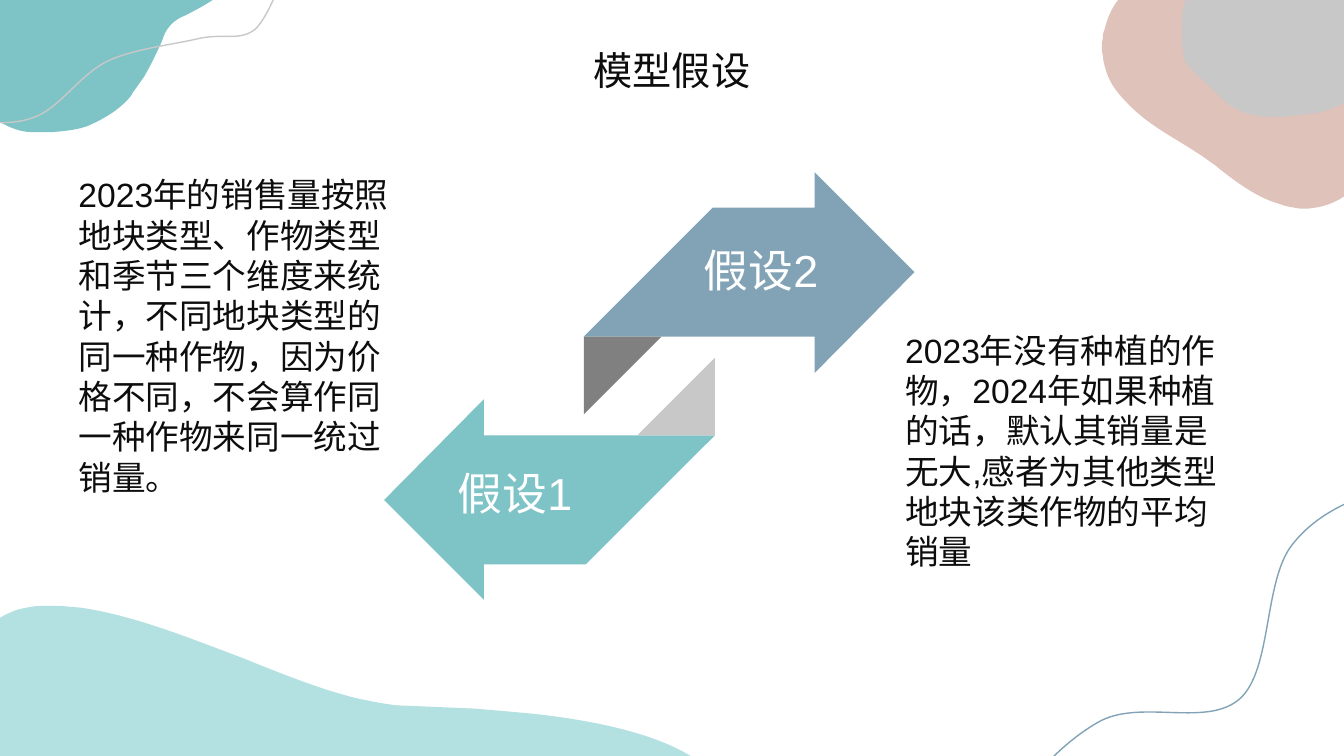
from dataclasses import dataclass

from pptx import Presentation
from pptx import util as u
from pptx.dml.color import RGBColor
from pptx.enum import shapes, text
from pptx.oxml import ns


@dataclass(frozen=True)
class Theme:
    teal: str = "7EC3C6"
    mint: str = "B3E0E1"
    blue: str = "82A3B6"
    pink: str = "DFC3BA"
    light_gray: str = "C8C8C8"
    dark_gray: str = "808080"
    ink: str = "0D0D0D"
    white: str = "FFFFFF"
    latin: str = "Arial"
    chinese: str = "Noto Sans CJK SC"
    title_size: int = 28
    body_size: int = 24
    label_size: int = 32


THEME = Theme()

# Each outline is a start point, then lines (x, y) and cubic curves (x1, y1, x2, y2, x, y).
GRAY_BLOB = [
    (13.33, 0), (13.33, 1.03), (13.31, 1.05, 13.29, 1.06, 13.26, 1.07),
    (13.2, 1.1, 13.13, 1.12, 13.06, 1.13), (12.99, 1.14, 12.92, 1.15, 12.84, 1.16),
    (12.81, 1.16, 12.77, 1.17, 12.74, 1.17), (12.58, 1.17),
    (12.52, 1.16, 12.46, 1.16, 12.4, 1.15), (12.34, 1.13, 12.27, 1.1, 12.21, 1.07),
    (12.18, 1.05, 12.14, 1.02, 12.11, 0.99), (12.08, 0.96, 12.05, 0.93, 12.03, 0.9),
    (11.97, 0.84, 11.92, 0.8, 11.86, 0.74), (11.81, 0.7, 11.74, 0.64, 11.73, 0.59),
    (11.73, 0.57, 11.7, 0.39, 11.7, 0.37), (11.7, 0.22),
    (11.71, 0.15, 11.72, 0.07, 11.75, 0),
]
PINK_BLOB = [
    (11.76, 0), (11.75, 0.02, 11.74, 0.05, 11.74, 0.07),
    (11.73, 0.09, 11.73, 0.11, 11.73, 0.12), (11.72, 0.15, 11.72, 0.21, 11.72, 0.21),
    (11.72, 0.38), (11.72, 0.44, 11.73, 0.5, 11.74, 0.56),
    (11.74, 0.62, 11.81, 0.69, 11.86, 0.73), (11.92, 0.79, 11.98, 0.84, 12.04, 0.9),
    (12.1, 0.96, 12.16, 1.03, 12.24, 1.07), (12.28, 1.09, 12.33, 1.12, 12.38, 1.13),
    (12.39, 1.13, 12.41, 1.14, 12.43, 1.14), (12.44, 1.15, 12.45, 1.15, 12.46, 1.15),
    (12.49, 1.15, 12.55, 1.16, 12.55, 1.16), (12.72, 1.16),
    (12.82, 1.15, 12.91, 1.14, 13, 1.13), (13.08, 1.12, 13.17, 1.1, 13.25, 1.06),
    (13.28, 1.05, 13.31, 1.04, 13.33, 1.03), (13.33, 1.95),
    (13.21, 2.03, 13.09, 2.06, 12.97, 2.07), (12.9, 2.07),
    (12.83, 2.06, 12.75, 2.05, 12.68, 2.02), (12.5, 1.97, 12.32, 1.85, 12.14, 1.71),
    (12.13, 1.7, 12.11, 1.69, 12.1, 1.68), (12.07, 1.65, 12.04, 1.63, 12.01, 1.61),
    (11.93, 1.55, 11.85, 1.5, 11.77, 1.45), (11.56, 1.32, 11.34, 1.2, 11.16, 1),
    (11.06, 0.9, 11, 0.8, 10.97, 0.7), (10.96, 0.67, 10.94, 0.6, 10.94, 0.56),
    (10.93, 0.51), (10.93, 0.42), (10.94, 0.39, 10.94, 0.34, 10.94, 0.34),
    (10.94, 0.34, 10.95, 0.3, 10.96, 0.28), (10.98, 0.19, 11.02, 0.09, 11.09, 0),
]
TEAL_BLOB = [
    (2.11, 0), (2.06, 0.03, 2, 0.07, 1.94, 0.1), (1.9, 0.12, 1.85, 0.15, 1.8, 0.17),
    (1.69, 0.22, 1.63, 0.32, 1.61, 0.4), (1.56, 0.51, 1.5, 0.64, 1.43, 0.76),
    (1.4, 0.8, 1.37, 0.85, 1.33, 0.9), (1.32, 0.91, 1.31, 0.93, 1.3, 0.95),
    (1.19, 1.09, 1.01, 1.19, 0.87, 1.25), (0.76, 1.29, 0.64, 1.3, 0.53, 1.31),
    (0.31, 1.31), (0.21, 1.31, 0.1, 1.27, 0, 1.21), (0, 0),
]
MINT_WAVE = [
    (0.59, 6.01), (0.81, 6.03), (1.34, 6.11, 1.88, 6.33, 2.41, 6.53),
    (2.68, 6.64, 2.96, 6.75, 3.23, 6.84), (3.33, 6.87, 3.46, 6.91, 3.55, 6.93),
    (3.65, 6.95, 3.87, 7, 4, 7), (4.71, 7.03), (4.94, 7.05), (5.28, 7.08),
    (5.83, 7.14, 6.46, 7.26, 6.85, 7.5), (0, 7.5), (0, 6.13),
    (0.04, 6.1, 0.1, 6.08, 0.14, 6.06), (0.19, 6.04, 0.34, 6.01, 0.41, 6.01),
    (0.42, 6.01, 0.44, 6.01, 0.46, 6.01),
]
GRAY_THREAD = [
    (-0.5, 1.14), (-0.22, 1.2, 0.06, 1.26, 0.32, 1.17),
    (0.58, 1.09, 0.78, 0.75, 1.06, 0.61), (1.33, 0.48, 1.74, 0.44, 1.98, 0.38),
    (2.22, 0.33, 2.38, 0.41, 2.53, 0.29), (2.67, 0.17, 2.85, -0.35, 2.85, -0.35),
    (2.89, -0.46),
]
BLUE_THREAD = [
    (9.81, 8.23), (10.16, 7.8, 10.51, 7.37, 10.92, 7.15),
    (11.34, 6.94, 11.98, 7.22, 12.3, 6.93), (12.62, 6.64, 12.53, 5.76, 12.82, 5.4),
    (13.11, 5.03, 13.57, 4.89, 14.03, 4.76),
]
ARROW = [(8.08, 1.71), (9.07, 2.7), (8.08, 3.7), (8.08, 3.34),
         (5.79, 3.34), (7.07, 2.06), (8.08, 2.06)]
FOLD_LEFT, FOLD_TOP, FOLD_SIDE = 5.79, 3.34, 0.77
TURN_X, TURN_Y = 6.44, 3.83  # the lower arrow is the upper one turned by half about here


def paint(shape, fill=None, line=None):
    shape.shadow.inherit = False
    if fill:
        shape.fill.solid()
        shape.fill.fore_color.rgb = RGBColor.from_string(fill)
    else:
        shape.fill.background()
    if line:
        shape.line.color.rgb = RGBColor.from_string(line)
        shape.line.width = u.Pt(1)
    else:
        shape.line.fill.background()


def bend(shape, outline):
    """Join the three lines drawn for each curve's points into one cubic curve."""
    lines = iter(list(shape._element.iter(ns.qn("a:lnTo"))))
    for segment in outline[1:]:
        first = next(lines)
        if len(segment) == 6:
            first.tag = ns.qn("a:cubicBezTo")
            for _ in range(2):
                extra = next(lines)
                first.append(extra[0])
                extra.getparent().remove(extra)


def add_outline(page, outline, fill=None, line=None):
    points = [(u.Inches(segment[i]), u.Inches(segment[i + 1]))
              for segment in outline for i in range(0, len(segment), 2)]
    builder = page.shapes.build_freeform(*points[0])
    builder.add_line_segments(points[1:], close=fill is not None)
    shape = builder.convert_to_shape()
    bend(shape, outline)
    paint(shape, fill, line)


def write(box, words, size, color, align=text.PP_ALIGN.LEFT, latin=THEME.latin):
    frame = box.text_frame
    frame.word_wrap = True
    frame.auto_size = text.MSO_AUTO_SIZE.NONE
    frame.vertical_anchor = text.MSO_ANCHOR.TOP
    para = frame.paragraphs[0]
    para.alignment = align
    span = para.add_run()
    span.text = words
    span.font.size = u.Pt(size)
    span.font.color.rgb = RGBColor.from_string(color)
    span.font.name = latin
    east_asian = span.font._element.makeelement(ns.qn("a:ea"), {"typeface": THEME.chinese})
    span.font._element.find(ns.qn("a:latin")).addnext(east_asian)


def add_text(page, words, left, top, width, height, **style):
    box = page.shapes.add_textbox(*map(u.Inches, (left, top, width, height)))
    write(box, words, **style)


def add_title(page, words):
    title = page.shapes.title
    title.left, title.top = u.Inches(4.26), u.Inches(0.41)
    title.width, title.height = u.Inches(4.81), u.Inches(0.57)
    write(title, words, size=THEME.title_size, color=THEME.ink,
          align=text.PP_ALIGN.CENTER, latin=THEME.chinese)


def add_folded_arrow(page, label, label_at, fill, fold_fill, turned=False):
    """Draw an arrow with its folded end; turned points it the other way."""
    outline, left, top = ARROW, FOLD_LEFT, FOLD_TOP
    if turned:
        outline = [(2 * TURN_X - x, 2 * TURN_Y - y) for x, y in ARROW]
        left = 2 * TURN_X - left - FOLD_SIDE
        top = 2 * TURN_Y - top - FOLD_SIDE
    add_outline(page, outline, fill=fill)
    fold = page.shapes.add_shape(shapes.MSO_SHAPE.RIGHT_TRIANGLE,
                                 *map(u.Inches, (left, top, FOLD_SIDE, FOLD_SIDE)))
    fold.rotation = 270 if turned else 90
    paint(fold, fold_fill)
    add_text(page, label, *label_at, size=THEME.label_size, color=THEME.white)


def main():
    deck = Presentation()
    deck.slide_width, deck.slide_height = u.Inches(13.33), u.Inches(7.5)
    page = deck.slides.add_slide(deck.slide_layouts.get_by_name("Title Only"))
    for blob, fill in ((GRAY_BLOB, THEME.light_gray), (PINK_BLOB, THEME.pink),
                       (TEAL_BLOB, THEME.teal), (MINT_WAVE, THEME.mint)):
        add_outline(page, blob, fill=fill)
    add_outline(page, GRAY_THREAD, line=THEME.light_gray)
    add_outline(page, BLUE_THREAD, line=THEME.blue)
    add_folded_arrow(page, "假设2", (6.88, 2.36, 1.85, 0.64), THEME.blue, THEME.dark_gray)
    add_folded_arrow(page, "假设1", (4.44, 4.57, 1.72, 0.64), THEME.teal, THEME.light_gray,
                     turned=True)
    add_title(page, "模型假设")
    body = {"size": THEME.body_size, "color": THEME.ink}
    add_text(page, "2023年的销售量按照地块类型、作物类型和季节三个维度来统计，不同地块类型的"
             "同一种作物，因为价格不同，不会算作同一种作物来同一统过销量。",
             0.68, 1.68, 3.45, 3.33, **body)
    add_text(page, "2023年没有种植的作物，2024年如果种植的话，默认其销量是无大,感者为其他"
             "类型地块该类作物的平均销量", 8.88, 3.22, 3.44, 2.52, **body)
    deck.save("out.pptx")


if __name__ == "__main__":
    main()
